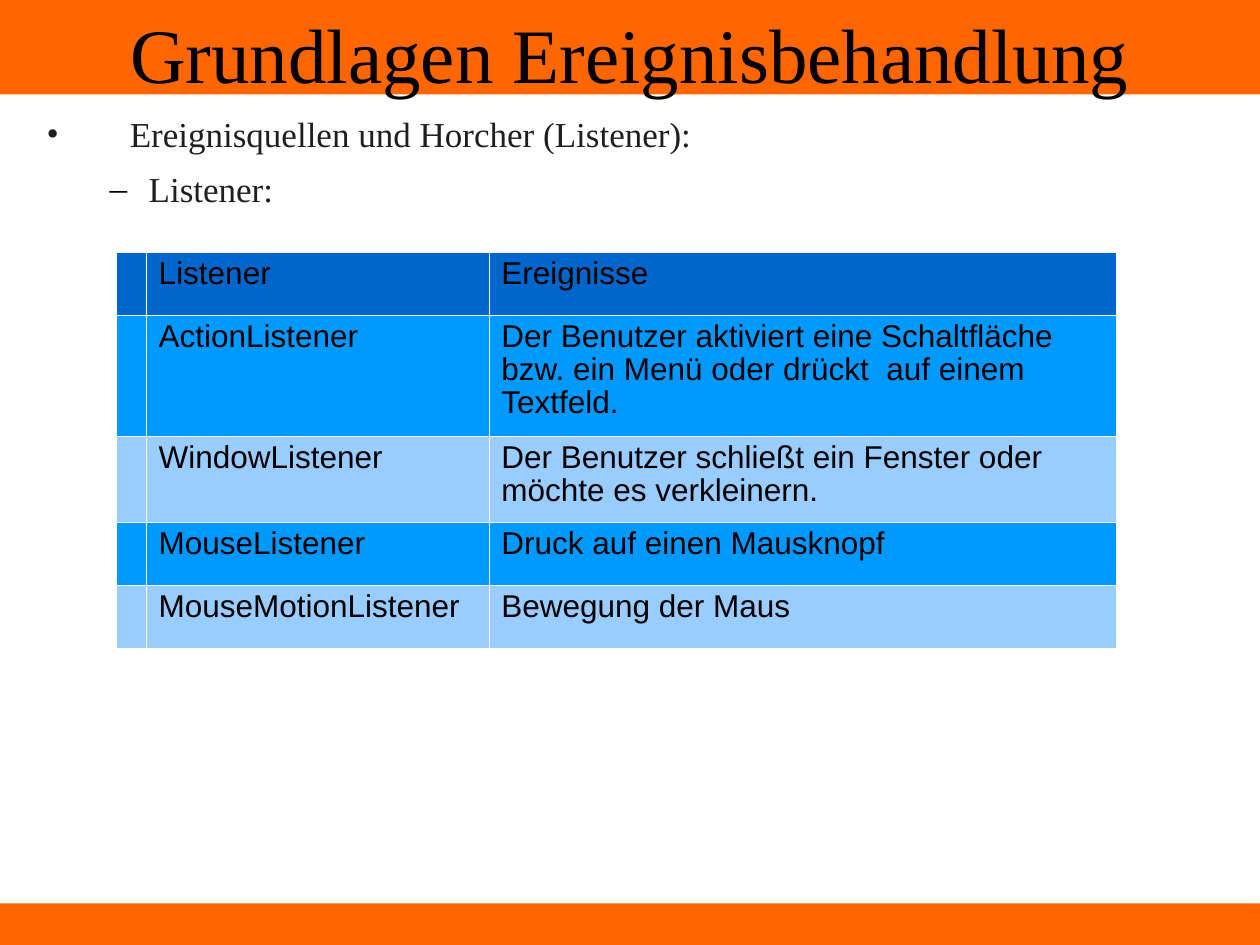
from lxml import etree
from pptx import Presentation
from pptx import util as u
from pptx.dml import color
from pptx.enum import shapes, text
from pptx.oxml import ns

ORANGE, BLACK, INK, WHITE = "FF6600", "000000", "221E1F", "FFFFFF"
HEADER, STRIPES = "0066CC", ("0099FF", "99CCFF")
SERIF, SANS = "Times New Roman", "Arial"

BULLETS = [
    ("Ereignisquellen und Horcher (Listener):", "•", INK, 0.66, 0.66, 0, 0.9),
    ("Listener:", "–", BLACK, 0.81, 0.31, 7, 1.0),
]
LISTENERS = [
    ("Listener", "Ereignisse"),
    ("ActionListener", "Der Benutzer aktiviert eine Schaltfläche bzw. ein Menü "
                       "oder drückt  auf einem Textfeld."),
    ("WindowListener", "Der Benutzer schließt ein Fenster oder möchte es verkleinern."),
    ("MouseListener", "Druck auf einen Mausknopf"),
    ("MouseMotionListener", "Bewegung der Maus"),
]
COLUMN_WIDTHS = (0.24, 2.72, 4.98)
ROW_HEIGHTS = (0.5, 0.96, 0.68, 0.5, 0.5)


def rgb(value):
    return color.RGBColor.from_string(value)


def add_xml(parent, tag, **attributes):
    return etree.SubElement(parent, ns.qn(tag), attributes)


class SlideBuilder:
    """Holds the style and the current slide and adds each kind of element."""

    def __init__(self, deck):
        self.page = deck.slides.add_slide(deck.slide_layouts[5])

    def style(self, para, size, face, shade):
        para.font.size = u.Pt(size)
        para.font.name = face
        para.font.color.rgb = rgb(shade)

    def band(self, top, height):
        bar = self.page.shapes.add_shape(
            shapes.MSO_SHAPE.RECTANGLE, 0, u.Inches(top), u.Inches(10), u.Inches(height))
        bar.shadow.inherit = False
        bar.fill.solid()
        bar.fill.fore_color.rgb = rgb(ORANGE)
        bar.line.fill.background()

    def title(self, wording):
        box = self.page.shapes.title
        box.left, box.top = 0, 0
        box.width, box.height = u.Inches(10), u.Inches(0.84)
        frame = box.text_frame
        frame.text = wording
        frame.auto_size = text.MSO_AUTO_SIZE.NONE
        frame.vertical_anchor = text.MSO_ANCHOR.MIDDLE
        para = frame.paragraphs[0]
        para.alignment = text.PP_ALIGN.CENTER
        self.style(para, 44, SERIF, BLACK)
        self.page.shapes._spTree.append(box._element)

    def bullets(self, items):
        box = self.page.shapes.add_textbox(
            u.Inches(0.33), u.Inches(0.89), u.Inches(9.42), u.Inches(6.2))
        frame = box.text_frame
        frame.word_wrap = True
        frame.margin_left = frame.margin_right = u.Inches(0.04)
        frame.margin_top = frame.margin_bottom = u.Inches(0.04)
        for index, (wording, mark, shade, left, hang, before, spacing) in enumerate(items):
            para = frame.add_paragraph() if index else frame.paragraphs[0]
            para.text = wording
            para.level = index
            properties = para._p.get_or_add_pPr()
            properties.set("marL", str(u.Inches(left)))
            properties.set("indent", str(-u.Inches(hang)))
            add_xml(add_xml(properties, "a:buClr"), "a:srgbClr", val=shade)
            add_xml(properties, "a:buFont", typeface=SERIF)
            add_xml(properties, "a:buChar", char=mark)
            para.line_spacing = spacing
            para.space_before = u.Pt(before)
            self.style(para, 20, SERIF, INK)

    def cell(self, cell, wording, shade, after):
        para = cell.text_frame.paragraphs[0]
        para.text = wording
        para.line_spacing = 0.93
        para.space_after = u.Pt(after)
        self.style(para, 18, SANS, BLACK)
        properties = cell._tc.get_or_add_tcPr()
        for side in ("a:lnL", "a:lnR", "a:lnT", "a:lnB"):
            line = add_xml(properties, side, w=str(u.Pt(0.06)))
            add_xml(add_xml(line, "a:solidFill"), "a:srgbClr", val=WHITE)
        cell.fill.solid()
        cell.fill.fore_color.rgb = rgb(shade)

    def table(self, rows):
        grid = self.page.shapes.add_table(
            len(rows), len(COLUMN_WIDTHS), u.Inches(0.92), u.Inches(2),
            u.Inches(sum(COLUMN_WIDTHS)), u.Inches(sum(ROW_HEIGHTS))).table
        for column, width in zip(grid.columns, COLUMN_WIDTHS):
            column.width = u.Inches(width)
        for index, (row, height) in enumerate(zip(grid.rows, ROW_HEIGHTS)):
            row.height = u.Inches(height)
            shade = STRIPES[(index - 1) % 2] if index else HEADER
            for cell, wording in zip(row.cells, ("", *rows[index])):
                self.cell(cell, wording, shade, 8 if index else 0)


def main():
    deck = Presentation()
    deck.slide_width, deck.slide_height = u.Inches(10), u.Inches(7.5)
    slide = SlideBuilder(deck)
    slide.band(7.17, 0.33)
    slide.band(0, 0.75)
    slide.title("Grundlagen Ereignisbehandlung")
    slide.bullets(BULLETS)
    slide.table(LISTENERS)
    deck.save("out.pptx")


if __name__ == "__main__":
    main()
